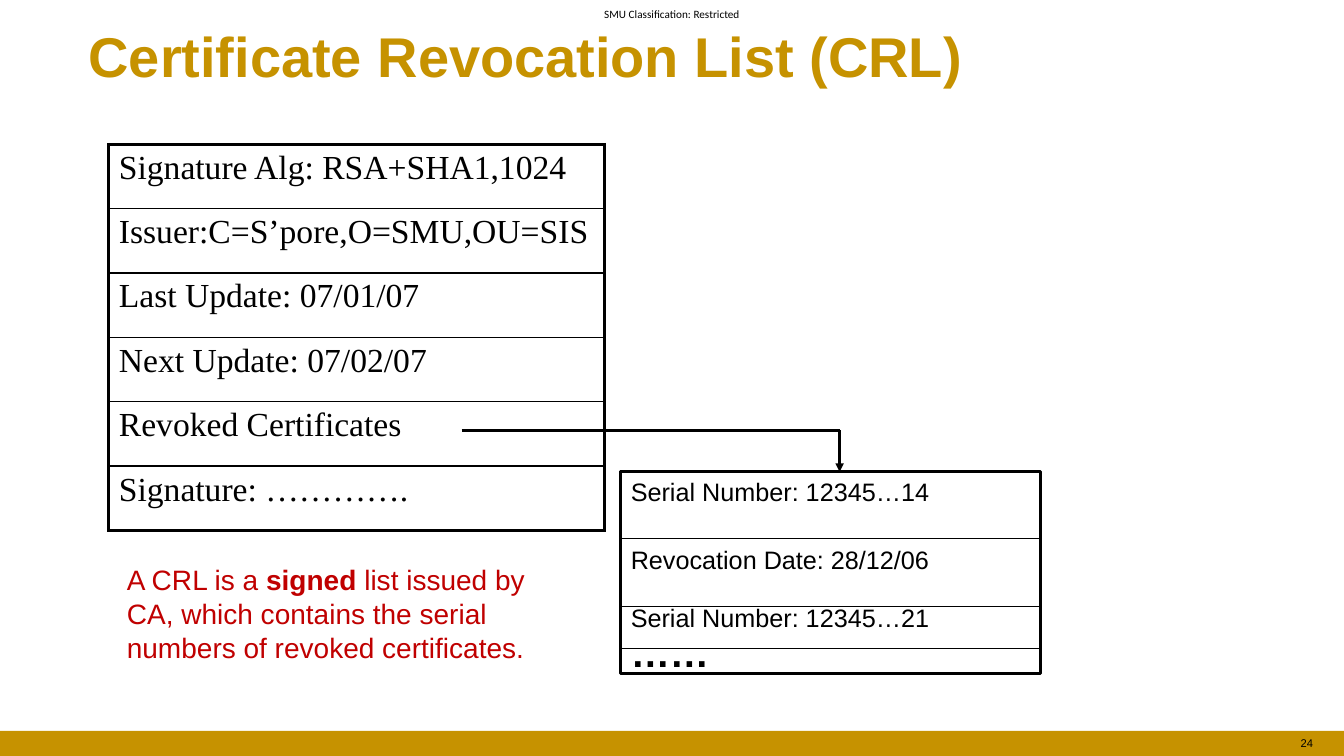
from dataclasses import dataclass

from lxml.etree import SubElement
from pptx import Presentation
from pptx.dml.color import RGBColor
from pptx.enum.shapes import MSO_CONNECTOR, MSO_SHAPE
from pptx.enum.text import MSO_ANCHOR, PP_ALIGN
from pptx.oxml import parse_xml
from pptx.oxml.ns import nsdecls, qn
from pptx.util import Pt


@dataclass(frozen=True)
class Theme:
    gold: RGBColor = RGBColor(0xC6, 0x92, 0x00)
    red: RGBColor = RGBColor(0xC0, 0x00, 0x00)
    black: RGBColor = RGBColor(0, 0, 0)
    sans: str = "Arial"
    serif: str = "Times New Roman"
    label_font: str = "Calibri"
    title_size: float = 40
    dots_size: float = 28
    field_size: float = 24
    note_size: float = 20
    entry_size: float = 18
    small_size: float = 8
    thin: float = 0.75
    row_rule: float = 1
    thick: float = 2
    table_edge: float = 2.25


@dataclass(frozen=True)
class Box:
    left: float
    top: float
    width: float
    height: float

    def lengths(self) -> tuple:
        return Pt(self.left), Pt(self.top), Pt(self.width), Pt(self.height)


@dataclass(frozen=True)
class Entry:
    text: str
    top: float
    size: float = Theme.entry_size
    bold: bool = False


@dataclass(frozen=True)
class Line:
    start: tuple[float, float]
    end: tuple[float, float]
    width: float
    arrow: bool = False


THEME = Theme()
SLIDE_WIDTH, SLIDE_HEIGHT = 960, 540
BAR = Box(0, 522, SLIDE_WIDTH, 18)
CRL_TABLE = Box(77.75, 103, 354.25, 276)
CRL_FIELDS = [
    "Signature Alg: RSA+SHA1,1024",
    "Issuer:C=S’pore,O=SMU,OU=SIS",
    "Last Update: 07/01/07",
    "Next Update: 07/02/07",
    "Revoked Certificates",
    "Signature: ………….",
]
REVOKED = Box(443.5, 337, 300, 144)
REVOKED_ROW = REVOKED.height / 3
REVOKED_ENTRIES = [
    Entry("Serial Number: 12345…14", REVOKED.top),
    Entry("Revocation Date: 28/12/06", REVOKED.top + REVOKED_ROW),
    Entry("Serial Number: 12345…21", 427),
    Entry("……", 445, THEME.dots_size, True),
]
ELBOW = (599.75, 307.25)
LINES = [
    Line((329.75, ELBOW[1]), ELBOW, THEME.thick),
    Line(ELBOW, (ELBOW[0], REVOKED.top), THEME.thick, True),
    Line((REVOKED.left, 463), (REVOKED.left + REVOKED.width, 463), THEME.thin),
]


def write_text(frame, text: str | list, *, size: float, font: str = THEME.sans,
               color: RGBColor = THEME.black, bold: bool = False,
               align: PP_ALIGN = PP_ALIGN.LEFT, anchor: MSO_ANCHOR | None = None) -> None:
    frame.word_wrap = True
    if anchor is not None:
        frame.vertical_anchor = anchor
    paragraph = frame.paragraphs[0]
    paragraph.alignment = align
    pieces = [(text, bold)] if isinstance(text, str) else text
    for piece, piece_bold in pieces:
        run = paragraph.add_run()
        run.text = piece
        run.font.size = Pt(size)
        run.font.name = font
        run.font.bold = piece_bold
        run.font.color.rgb = color


def add_text(slide, box: Box, text: str | list, *, inset: bool = True, **text_format) -> None:
    frame = slide.shapes.add_textbox(*box.lengths()).text_frame
    if not inset:
        frame.margin_left = frame.margin_right = frame.margin_top = frame.margin_bottom = 0
    write_text(frame, text, **text_format)


def add_rectangle(slide, box: Box, *, fill: RGBColor | None = None,
                  line_width: float | None = None) -> None:
    shape = slide.shapes.add_shape(MSO_SHAPE.RECTANGLE, *box.lengths())
    shape.shadow.inherit = False
    if fill is None:
        shape.fill.background()
    else:
        shape.fill.solid()
        shape.fill.fore_color.rgb = fill
    if line_width is None:
        shape.line.fill.background()
    else:
        shape.line.color.rgb = THEME.black
        shape.line.width = Pt(line_width)


def add_line(slide, line: Line) -> None:
    points = [Pt(value) for value in (*line.start, *line.end)]
    connector = slide.shapes.add_connector(MSO_CONNECTOR.STRAIGHT, *points)
    connector.line.color.rgb = THEME.black
    connector.line.width = Pt(line.width)
    if line.arrow:
        SubElement(connector.line._get_or_add_ln(), qn("a:tailEnd"), type="triangle")
    SubElement(connector._element.spPr, qn("a:effectLst"))


def set_borders(cell, widths: dict[str, float]) -> None:
    properties = cell._tc.get_or_add_tcPr()
    for index, (side, width) in enumerate(widths.items()):
        properties.insert(index, parse_xml(
            f'<a:ln{side} {nsdecls("a")} w="{Pt(width)}"><a:solidFill>'
            f'<a:srgbClr val="{THEME.black}"/></a:solidFill></a:ln{side}>'))


def add_crl_table(slide) -> None:
    count = len(CRL_FIELDS)
    table = slide.shapes.add_table(count, 1, *CRL_TABLE.lengths()).table
    table.first_row = False
    table.horz_banding = False
    for index, field in enumerate(CRL_FIELDS):
        table.rows[index].height = Pt(CRL_TABLE.height / count)
        cell = table.cell(index, 0)
        cell.fill.background()
        set_borders(cell, {
            "L": THEME.table_edge,
            "R": THEME.table_edge,
            "T": THEME.table_edge if index == 0 else THEME.row_rule,
            "B": THEME.table_edge if index == count - 1 else THEME.row_rule,
        })
        write_text(cell.text_frame, field, size=THEME.field_size, font=THEME.serif)


def add_revoked_list(slide) -> None:
    add_rectangle(slide, REVOKED, line_width=THEME.thick)
    for row in (0, 2):
        row_box = Box(REVOKED.left, REVOKED.top + row * REVOKED_ROW, REVOKED.width, REVOKED_ROW)
        add_rectangle(slide, row_box, line_width=THEME.thin)
    for entry in REVOKED_ENTRIES:
        add_text(slide, Box(REVOKED.left, entry.top, 294, entry.size * 1.6), entry.text,
                 size=entry.size, bold=entry.bold)


def main() -> None:
    presentation = Presentation()
    presentation.slide_width, presentation.slide_height = Pt(SLIDE_WIDTH), Pt(SLIDE_HEIGHT)
    slide = presentation.slides.add_slide(presentation.slide_layouts[5])

    add_rectangle(slide, BAR, fill=THEME.gold)
    add_text(slide, Box(431, 5, 98, 9.5), "SMU Classification: Restricted", inset=False,
             size=THEME.small_size, font=THEME.label_font, align=PP_ALIGN.CENTER)
    title = slide.shapes.title
    title.left, title.top, title.width, title.height = Box(56, 11.5, 872, 55.5).lengths()
    write_text(title.text_frame, "Certificate Revocation List (CRL)", size=THEME.title_size,
               color=THEME.gold, bold=True, anchor=MSO_ANCHOR.MIDDLE)
    add_crl_table(slide)
    add_text(slide, Box(809, BAR.top, 136, BAR.height), "24", size=THEME.small_size,
             align=PP_ALIGN.RIGHT, anchor=MSO_ANCHOR.MIDDLE)
    add_revoked_list(slide)
    for line in LINES:
        add_line(slide, line)
    add_text(slide, Box(83.5, 398, 334, 80),
             [("A CRL is a ", False), ("signed", True),
              (" list issued by CA, which contains the serial numbers of revoked certificates.",
               False)],
             size=THEME.note_size, color=THEME.red, anchor=MSO_ANCHOR.MIDDLE)
    presentation.save("out.pptx")


if __name__ == "__main__":
    main()
